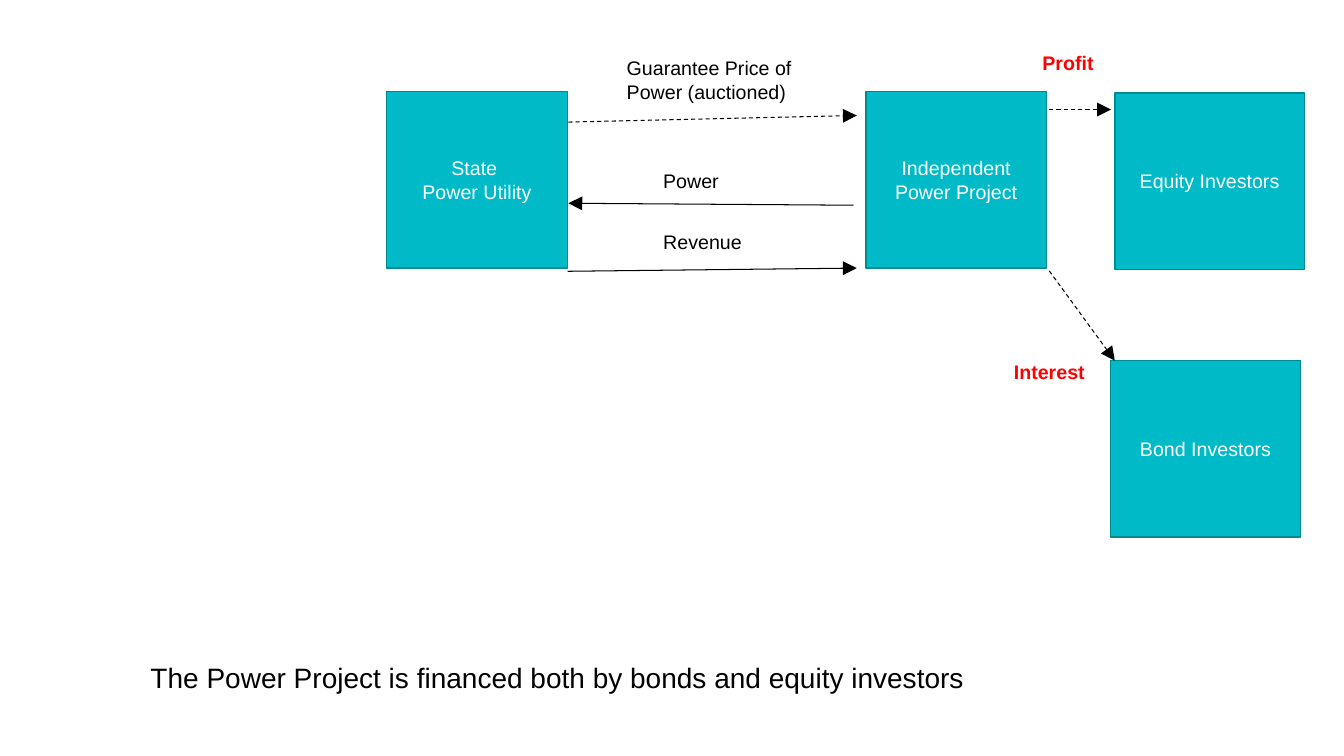
import dataclasses
import typing

import lxml.etree
import pptx
import pptx.dml.color
import pptx.enum.dml
import pptx.enum.shapes
import pptx.enum.text
import pptx.oxml.ns
import pptx.util

Pt = pptx.util.Pt
Dash = pptx.enum.dml.MSO_LINE
Align = pptx.enum.text.PP_ALIGN
Fit = pptx.enum.text.MSO_AUTO_SIZE
Anchor = pptx.enum.text.MSO_ANCHOR

HUES = {
    "fill": "00BAC8",
    "edge": "008A94",
    "ink": "000000",
    "alert": "FF0000",
    "paper": "FFFFFF",
}


@dataclasses.dataclass
class Box:
    text: str
    left: float
    top: float
    width: float


@dataclasses.dataclass
class Arrow:
    start: tuple[float, float]
    end: tuple[float, float]
    dash: bool = False


@dataclasses.dataclass
class Label:
    text: str
    left: float
    top: float
    width: float
    height: float = 24.5
    hue: str = "ink"
    bold: bool = False


SIDE = 126
BOXES = [
    Box("State \nPower Utility", 276.2, 65.4, 129),
    Box("Independent Power Project", 618.5, 65.4, 129),
    Box("Equity Investors", 796.3, 66.4, 135.4),
    Box("Bond Investors", 793.4, 257.6, 135.4),
]
ARROWS = [
    Arrow((406, 87.2), (612, 82.5), True),
    Arrow((609.8, 146.6), (406, 145.2)),
    Arrow((405.4, 193.8), (612, 191.5)),
    Arrow((749.5, 78.3), (793.6, 78.3), True),
    Arrow((749.5, 193.5), (796.3, 257.6), True),
]
LABELS = [
    Label("Guarantee Price of Power (auctioned)", 440.6, 36.7, 141.8, 41),
    Label("Power", 466.6, 117.4, 141.8),
    Label("Revenue", 466.6, 160.6, 173.5),
    Label("Profit", 737.5, 33.1, 153.4, hue="alert", bold=True),
    Label("Interest", 717.1, 253.4, 104.4, hue="alert", bold=True),
]


def apply(item: typing.Any, look: dict[str, typing.Any]) -> None:
    for name, value in look.items():
        setattr(item, name, value)


def tint(name: str) -> pptx.dml.color.RGBColor:
    return pptx.dml.color.RGBColor.from_string(HUES[name])


def write(
    frame: typing.Any,
    text: str,
    hue: str,
    align: Align = Align.LEFT,
    size: float = 14,
    bold: bool = False,
) -> None:
    frame.text = text
    for para in frame.paragraphs:
        para.alignment = align
        for run in para.runs:
            apply(run.font, {"name": "Arial", "size": Pt(size), "bold": bold})
            run.font.color.rgb = tint(hue)


def draw_box(slide: typing.Any, box: Box) -> None:
    shape = slide.shapes.add_shape(
        pptx.enum.shapes.MSO_SHAPE.RECTANGLE,
        Pt(box.left), Pt(box.top), Pt(box.width), Pt(SIDE),
    )
    shape.shadow.inherit = False
    shape.fill.solid()
    shape.fill.fore_color.rgb = tint("fill")
    shape.line.color.rgb = tint("edge")
    shape.line.width = Pt(1)
    apply(shape.text_frame, {"word_wrap": True, "vertical_anchor": Anchor.MIDDLE})
    write(shape.text_frame, box.text, "paper", Align.CENTER)


def draw_arrow(slide: typing.Any, arrow: Arrow) -> None:
    ends = [Pt(value) for value in (*arrow.start, *arrow.end)]
    link = slide.shapes.add_connector(
        pptx.enum.shapes.MSO_CONNECTOR.STRAIGHT, *ends
    )
    link.line.color.rgb = tint("ink")
    link.line.width = Pt(0.75)
    if arrow.dash:
        link.line.dash_style = Dash.DASH
    qn = pptx.oxml.ns.qn
    props = link.element.spPr
    head = {"type": "triangle", "w": "lg", "len": "lg"}
    lxml.etree.SubElement(props.find(qn("a:ln")), qn("a:tailEnd"), head)
    lxml.etree.SubElement(props, qn("a:effectLst"))


def draw_label(slide: typing.Any, label: Label) -> None:
    shape = slide.shapes.add_textbox(
        Pt(label.left), Pt(label.top), Pt(label.width), Pt(label.height)
    )
    apply(shape.text_frame, {"word_wrap": True, "auto_size": Fit.SHAPE_TO_FIT_TEXT})
    write(shape.text_frame, label.text, label.hue, bold=label.bold)


def fill_body(slide: typing.Any) -> None:
    body = slide.placeholders[1]
    apply(body, {
        "left": Pt(76.3), "top": Pt(459.4),
        "width": Pt(807.8), "height": Pt(48.2),
    })
    frame = body.text_frame
    sides = ("margin_left", "margin_top", "margin_right", "margin_bottom")
    apply(frame, dict.fromkeys(sides, Pt(7.2)))
    apply(frame, {
        "word_wrap": True,
        "auto_size": Fit.NONE,
        "vertical_anchor": Anchor.MIDDLE,
    })
    write(
        frame,
        "The Power Project is financed both by bonds and equity investors",
        "ink",
        size=20,
    )
    para = frame.paragraphs[0]
    para.space_before = Pt(0)
    props = para._p.get_or_add_pPr()
    props.set("marL", str(Pt(48)))
    props.set("indent", str(Pt(-24)))
    lxml.etree.SubElement(props, pptx.oxml.ns.qn("a:buNone"))


def main() -> None:
    deck = pptx.Presentation()
    apply(deck, {"slide_width": Pt(960), "slide_height": Pt(540)})
    slide = deck.slides.add_slide(deck.slide_layouts[1])
    title = slide.shapes.title.element
    title.getparent().remove(title)
    fill_body(slide)
    for box in BOXES:
        draw_box(slide, box)
    for arrow in ARROWS:
        draw_arrow(slide, arrow)
    for label in LABELS:
        draw_label(slide, label)
    deck.save("out.pptx")


if __name__ == "__main__":
    main()
